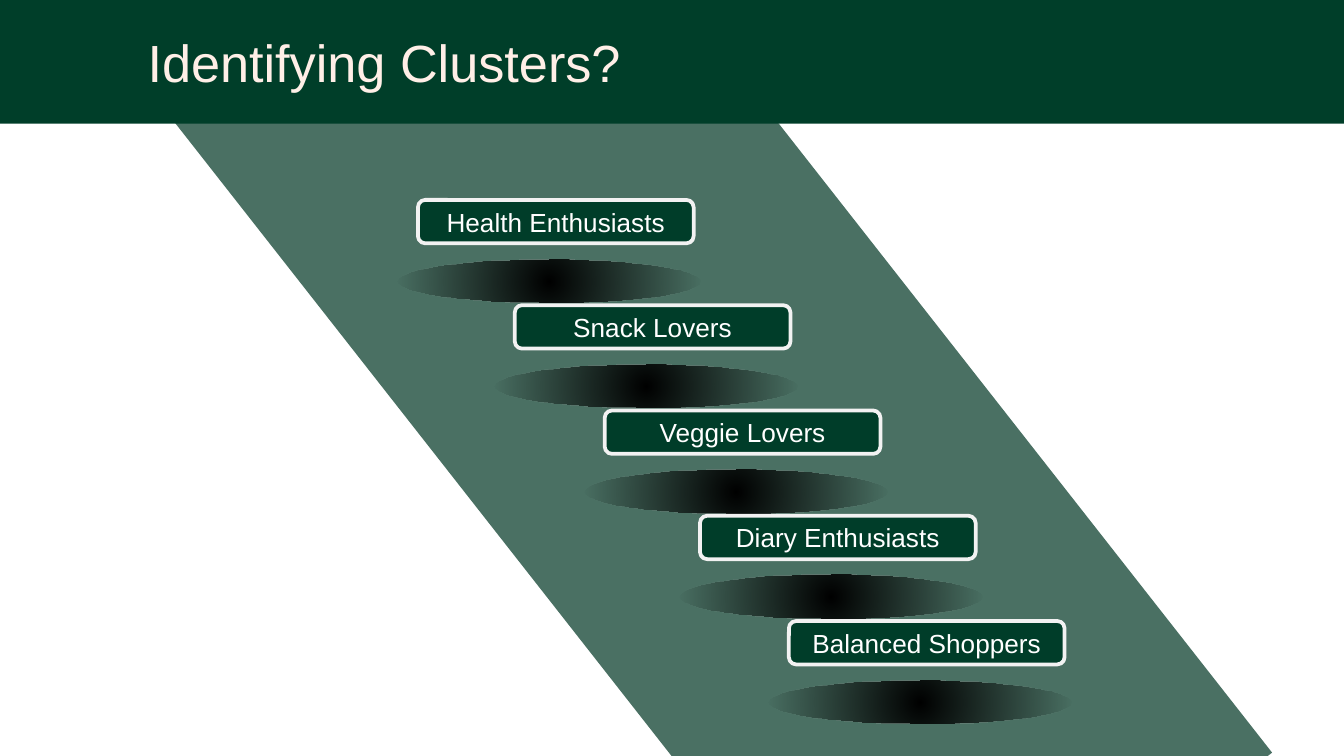
from dataclasses import dataclass

from lxml import etree
from pptx import Presentation
from pptx.dml.color import RGBColor
from pptx.enum.shapes import MSO_SHAPE
from pptx.enum.text import MSO_ANCHOR, PP_ALIGN
from pptx.oxml.ns import qn
from pptx.shapes.autoshape import Shape
from pptx.util import Cm, Pt

RECTANGLE = MSO_SHAPE.RECTANGLE
PARALLELOGRAM = MSO_SHAPE.PARALLELOGRAM
ROUNDED = MSO_SHAPE.ROUNDED_RECTANGLE
OVAL = MSO_SHAPE.OVAL
MIDDLE = MSO_ANCHOR.MIDDLE
LEFT, CENTER = PP_ALIGN.LEFT, PP_ALIGN.CENTER

COLORS = {
    "band": "144635",
    "header": "003E29",
    "title": "FFEFE7",
    "label": "003D29",
    "border": "F2F2F2",
    "label_text": "FFFFFF",
    "shadow": "000000",
}
FONT = "Arial"
FIRST_TOP, TOP_STEP = 3.78, 1.99
LABEL_WIDTH, SHADOW_WIDTH, HEIGHT = 5.21, 5.72, 0.82
SHADOW_SHIFT, SHADOW_DROP = -0.38, 1.12


@dataclass(frozen=True)
class Cluster:
    """A customer cluster and the left edge of its label in centimetres."""

    name: str
    left: float


CLUSTERS = [
    Cluster("Health Enthusiasts", 7.9),
    Cluster("Snack Lovers", 9.73),
    Cluster("Veggie Lovers", 11.43),
    Cluster("Diary Enthusiasts", 13.23),
    Cluster("Balanced Shoppers", 14.91),
]


def rgb(name: str) -> RGBColor:
    """Look up a named colour."""
    return RGBColor.from_string(COLORS[name])


def set_opacity(color: etree._Element, percent: int) -> None:
    """Give a colour element an opacity."""
    etree.SubElement(color, qn("a:alpha")).set("val", str(percent * 1000))


def add_plain(shapes, kind, left: float, top: float, width: float, height: float) -> Shape:
    """Add a shape without outline or shadow, measured in centimetres."""
    shape = shapes.add_shape(kind, Cm(left), Cm(top), Cm(width), Cm(height))
    shape.shadow.inherit = False
    shape.line.fill.background()
    return shape


def fill_solid(shape: Shape, color: str) -> None:
    """Fill a shape with a named colour."""
    shape.fill.solid()
    shape.fill.fore_color.rgb = rgb(color)


def write_text(shape: Shape, text: str, *, size: int, color: str, align=LEFT,
               inset_left: float = 0.25, inset_top: float = 0.13) -> None:
    """Write one formatted paragraph, centred vertically."""
    frame = shape.text_frame
    frame.word_wrap = True
    frame.vertical_anchor = MIDDLE
    frame.margin_left, frame.margin_right = Cm(inset_left), Cm(0.25)
    frame.margin_top = frame.margin_bottom = Cm(inset_top)
    paragraph = frame.paragraphs[0]
    paragraph.alignment = align
    run = paragraph.add_run()
    run.text = text
    run.font.name = FONT
    run.font.size = Pt(size)
    run.font.color.rgb = rgb(color)


def fade_outwards(shape: Shape) -> None:
    """Fill a shape with a radial gradient that fades to transparent."""
    shape.fill.gradient()
    for stop in shape.fill.gradient_stops:
        stop.color.rgb = rgb("shadow")
    gradient = shape.element.spPr.find(qn("a:gradFill"))
    set_opacity(gradient.findall(".//" + qn("a:srgbClr"))[-1], 0)
    radial = etree.Element(qn("a:path"), {"path": "circle"})
    focus = etree.SubElement(radial, qn("a:fillToRect"))
    for side in "ltrb":
        focus.set(side, "50000")
    gradient.replace(gradient.find(qn("a:lin")), radial)


def add_cluster(slide, cluster: Cluster, top: float) -> None:
    """Add a cluster label with its shadow as one group."""
    shapes = slide.shapes.add_group_shape().shapes
    shadow = add_plain(shapes, OVAL, cluster.left + SHADOW_SHIFT, top + SHADOW_DROP,
                       SHADOW_WIDTH, HEIGHT)
    fade_outwards(shadow)
    label = add_plain(shapes, ROUNDED, cluster.left, top, LABEL_WIDTH, HEIGHT)
    fill_solid(label, "label")
    label.line.color.rgb = rgb("border")
    label.line.width = Pt(2)
    write_text(label, cluster.name, size=14, color="label_text", align=CENTER)


def main() -> None:
    """Build and save the slide."""
    deck = Presentation()
    deck.slide_width, deck.slide_height = Cm(25.4), Cm(14.29)
    slide = deck.slides.add_slide(deck.slide_layouts[6])

    band = add_plain(slide.shapes, PARALLELOGRAM, 8.74, -4.11, 8.97, 23.62)
    band.adjustments[0] = 0
    band.rotation = 321.9
    fill_solid(band, "band")
    set_opacity(band.element.spPr.find(".//" + qn("a:srgbClr")), 77)

    header = add_plain(slide.shapes, RECTANGLE, 0, 0, 25.4, 2.34)
    fill_solid(header, "header")
    write_text(header, "Identifying Clusters?", size=28, color="title",
               inset_left=2.79, inset_top=0.25)

    for row, cluster in enumerate(CLUSTERS):
        add_cluster(slide, cluster, FIRST_TOP + row * TOP_STEP)
    deck.save("out.pptx")


if __name__ == "__main__":
    main()
